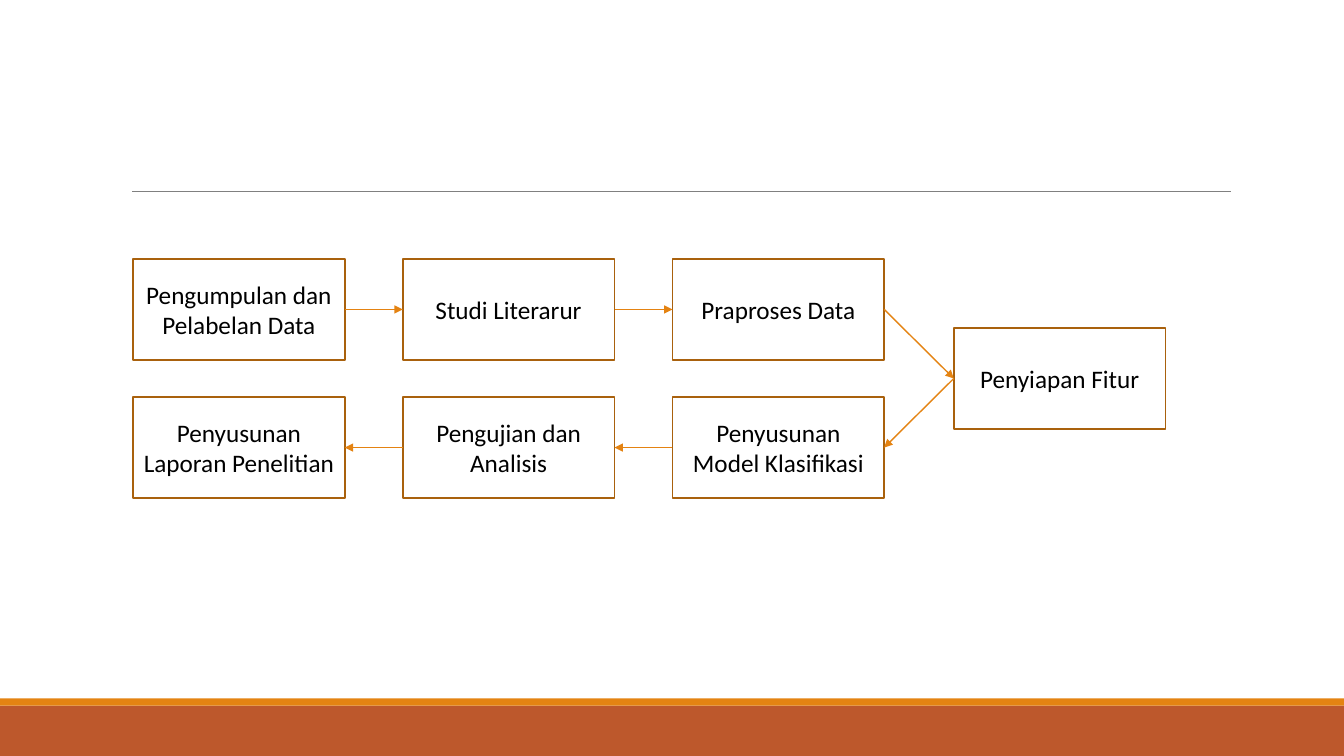
from dataclasses import dataclass
from itertools import pairwise

from lxml.etree import SubElement
from pptx import Presentation
from pptx.dml.color import RGBColor
from pptx.enum.shapes import MSO_CONNECTOR, MSO_SHAPE
from pptx.enum.text import MSO_ANCHOR, PP_ALIGN
from pptx.oxml.ns import qn
from pptx.shapes.autoshape import Shape
from pptx.shapes.connector import Connector
from pptx.slide import Slide
from pptx.util import Inches, Pt


@dataclass(frozen=True)
class Theme:
    font: str = "Calibri"
    size: float = 18
    ink: str = "000000"
    paper: str = "FFFFFF"
    edge: str = "A9610D"
    arrow: str = "E48312"
    footer: str = "BD582C"
    rule: str = "808080"
    edge_width: float = 1.25
    arrow_width: float = 1
    rule_width: float = 0.5


@dataclass(frozen=True)
class Step:
    text: str
    left: float
    top: float


THEME = Theme()
WIDTH, HEIGHT = 13.33, 7.5
BOX_WIDTH, BOX_HEIGHT = 2.1, 1
COLUMNS = [1.32 + 2.675 * i for i in range(3)]
UPPER, LOWER = 2.57, 3.94
TURN = Step("Penyiapan Fitur", 9.46, (UPPER + LOWER) / 2)
FORTH = ["Pengumpulan dan Pelabelan Data", "Studi Literarur", "Praproses Data"]
BACK = ["Penyusunan Model Klasifikasi", "Pengujian dan Analisis",
        "Penyusunan Laporan Penelitian"]
LEFT_SIDE, RIGHT_SIDE = 1, 3


def color(code: str) -> RGBColor:
    return RGBColor.from_string(code)


def add_rect(slide: Slide, left: float, top: float, width: float,
             height: float, fill: str, edge: str | None = None) -> Shape:
    rect = slide.shapes.add_shape(MSO_SHAPE.RECTANGLE, Inches(left),
                                  Inches(top), Inches(width), Inches(height))
    rect.shadow.inherit = False
    rect.fill.solid()
    rect.fill.fore_color.rgb = color(fill)
    if edge:
        rect.line.color.rgb = color(edge)
        rect.line.width = Pt(THEME.edge_width)
    else:
        rect.line.fill.background()
    return rect


def write(shape: Shape, text: str, *, size: float = THEME.size,
          ink: str = THEME.ink, font: str = THEME.font,
          align: PP_ALIGN = PP_ALIGN.CENTER) -> None:
    frame = shape.text_frame
    frame.word_wrap = True
    frame.vertical_anchor = MSO_ANCHOR.MIDDLE
    para = frame.paragraphs[0]
    para.alignment = align
    run = para.add_run()
    run.text = text
    run.font.name = font
    run.font.size = Pt(size)
    run.font.color.rgb = color(ink)


def add_line(slide: Slide, ink: str, width: float, left: float = 0,
             right: float = 0, top: float = 0) -> Connector:
    line = slide.shapes.add_connector(MSO_CONNECTOR.STRAIGHT, Inches(left),
                                      Inches(top), Inches(right), Inches(top))
    line.line.color.rgb = color(ink)
    line.line.width = Pt(width)
    SubElement(line._element.spPr, qn("a:effectLst"))
    return line


def join(slide: Slide, start: Shape, end: Shape) -> None:
    """Draw an arrow between the facing sides of two boxes."""
    ahead = start.left < end.left
    line = add_line(slide, THEME.arrow, THEME.arrow_width)
    line.begin_connect(start, RIGHT_SIDE if ahead else LEFT_SIDE)
    line.end_connect(end, LEFT_SIDE if ahead else RIGHT_SIDE)
    SubElement(line.line._get_or_add_ln(), qn("a:tailEnd"), type="triangle")


def add_step(slide: Slide, step: Step) -> Shape:
    box = add_rect(slide, step.left, step.top, BOX_WIDTH, BOX_HEIGHT,
                   THEME.paper, THEME.edge)
    write(box, step.text)
    return box


def main() -> None:
    deck = Presentation()
    deck.slide_width, deck.slide_height = Inches(WIDTH), Inches(HEIGHT)
    slide = deck.slides.add_slide(deck.slide_layouts[6])

    add_rect(slide, 0, 7, WIDTH, 0.5, THEME.footer)
    add_rect(slide, 0, 6.93, WIDTH, 0.07, THEME.arrow)
    add_line(slide, THEME.rule, THEME.rule_width, 1.31, 12.21, 1.9)

    steps = [Step(text, left, UPPER) for text, left in zip(FORTH, COLUMNS)]
    steps.append(TURN)
    steps += [Step(text, left, LOWER)
              for text, left in zip(BACK, reversed(COLUMNS))]
    boxes = [add_step(slide, step) for step in steps]
    for start, end in pairwise(boxes):
        join(slide, start, end)

    deck.save("out.pptx")


if __name__ == "__main__":
    main()
